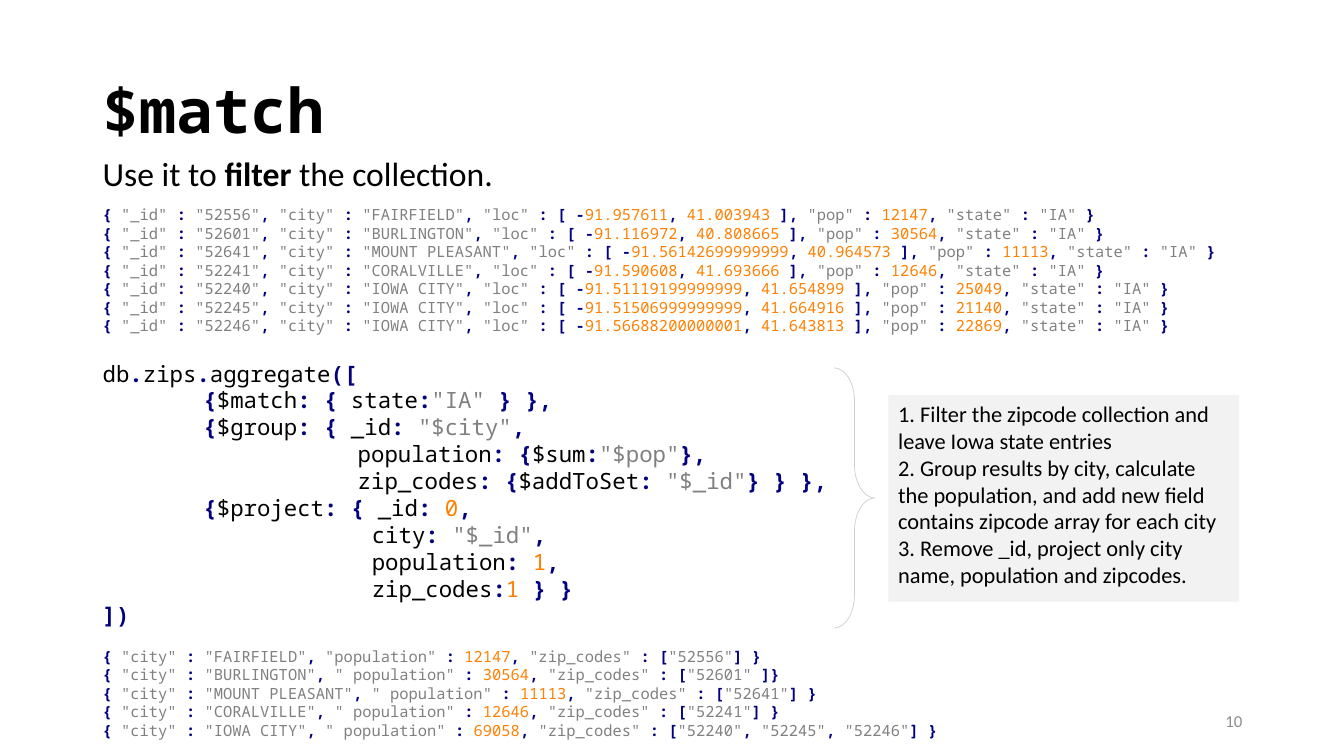
"""Build the $match aggregation slide with its input, pipeline and output."""
from itertools import groupby

from pptx import Presentation
from pptx.dml.color import RGBColor
from pptx.enum.shapes import MSO_SHAPE as Shape
from pptx.enum.text import MSO_ANCHOR as Anchor, PP_ALIGN as Align
from pptx.util import Inches, Pt

BLACK = RGBColor(0x00, 0x00, 0x00)
NAVY = RGBColor(0x00, 0x00, 0x80)
GREY = RGBColor(0x80, 0x80, 0x80)
ORANGE = RGBColor(0xFF, 0x80, 0x00)
PANEL = RGBColor(0xF2, 0xF2, 0xF2)
BRACE = RGBColor(0xD0, 0xCE, 0xCE)
PAGE_GREY = RGBColor(0x8C, 0x8C, 0x8C)
SANS, MONO = "Calibri", "Noto Sans Mono"

WIDTH, HEIGHT = 13.33, 7.5
LEFT, SPAN = 0.92, 11.5

TITLE = "$match"
LEAD = [("Use it to ", False), ("filter", True), (" the collection.", False)]
ZIPS = [
    ("52556", "FAIRFIELD", "91.957611", "41.003943", 12147),
    ("52601", "BURLINGTON", "91.116972", "40.808665", 30564),
    ("52641", "MOUNT PLEASANT", "91.56142699999999", "40.964573", 11113),
    ("52241", "CORALVILLE", "91.590608", "41.693666", 12646),
    ("52240", "IOWA CITY", "91.51119199999999", "41.654899", 25049),
    ("52245", "IOWA CITY", "91.51506999999999", "41.664916", 21140),
    ("52246", "IOWA CITY", "91.56688200000001", "41.643813", 22869),
]
STAGE, GROUP_FIELD, PROJECT_FIELD = 1, 2.53, 2.67
PIPELINE = [
    (0, 'db.zips.aggregate(['),
    (STAGE, '{$match: { state:"IA" } },'),
    (STAGE, '{$group: { _id: "$city",'),
    (GROUP_FIELD, 'population: {$sum:"$pop"},'),
    (GROUP_FIELD, 'zip_codes: {$addToSet: "$_id"} } },'),
    (STAGE, '{$project: { _id: 0,'),
    (PROJECT_FIELD, 'city: "$_id",'),
    (PROJECT_FIELD, 'population: 1,'),
    (PROJECT_FIELD, 'zip_codes:1 } }'),
    (0, '])'),
]
STEPS = [
    "1. Filter the zipcode collection and leave Iowa state entries",
    "2. Group results by city, calculate the population, and add new field "
    "contains zipcode array for each city",
    "3. Remove _id, project only city name, population and zipcodes.",
]
RESULTS = [
    '{ "city" : "FAIRFIELD", "population" : 12147, "zip_codes" : ["52556"] }',
    '{ "city" : "BURLINGTON", " population" : 30564, "zip_codes" : ["52601" ]}',
    '{ "city" : "MOUNT PLEASANT", " population" : 11113, "zip_codes" : ["52641"] }',
    '{ "city" : "CORALVILLE", " population" : 12646, "zip_codes" : ["52241"] }',
    '{ "city" : "IOWA CITY", " population" : 69058, "zip_codes" : '
    '["52240", "52245", "52246"] }',
]
PAGE_NUMBER = "10"


def add_span(para, text, size=16, font=SANS, color=BLACK, bold=False):
    span = para.add_run()
    span.text = text
    span.font.size, span.font.name, span.font.bold = Pt(size), font, bold
    span.font.color.rgb = color


def place(shape, left, top, width, height):
    shape.left, shape.top = Inches(left), Inches(top)
    shape.width, shape.height = Inches(width), Inches(height)


def add_box(page, left, top, width, height):
    box = page.shapes.add_textbox(*map(Inches, (left, top, width, height)))
    box.text_frame.word_wrap = True
    return box.text_frame


def paragraphs(frame, items):
    for index, item in enumerate(items):
        yield (frame.add_paragraph() if index else frame.paragraphs[0]), item


def syntax_colors(code):
    color, quoted = BLACK, False
    for char in code:
        if char == '"':
            quoted, color = not quoted, GREY
        elif quoted:
            color = GREY
        elif char.isdigit():
            color = ORANGE
        elif char in "{}[]():,-" or char == "." and color != ORANGE:
            color = NAVY
        elif char not in " .":
            color = BLACK
        yield color, char


def add_code(page, top, height, lines, size):
    frame = add_box(page, LEFT, top, SPAN, height)
    for para, (indent, code) in paragraphs(frame, lines):
        properties = para._p.get_or_add_pPr()
        properties.set("marL", str(Inches(indent)))
        properties.set("indent", "0")
        for color, pairs in groupby(syntax_colors(code), key=lambda pair: pair[0]):
            text = "".join(char for _, char in pairs)
            add_span(para, text, size=size, font=MONO, color=color, bold=color == NAVY)


def add_shape(page, kind, left, top, width, height):
    shape = page.shapes.add_shape(kind, *map(Inches, (left, top, width, height)))
    shape.shadow.inherit = False
    return shape


def main():
    deck = Presentation()
    deck.slide_width, deck.slide_height = Inches(WIDTH), Inches(HEIGHT)
    page = deck.slides.add_slide(deck.slide_layouts[5])

    title = page.shapes.title
    place(title, LEFT, 0.4, SPAN, 1.45)
    title.text_frame.vertical_anchor = Anchor.MIDDLE
    para = title.text_frame.paragraphs[0]
    para.alignment, para.line_spacing = Align.LEFT, 0.9
    add_span(para, TITLE, size=44, font=MONO, bold=True)

    para = add_box(page, LEFT, 1.55, SPAN, 0.44).paragraphs[0]
    para.line_spacing, para.space_before = 0.8, Pt(10)
    for text, bold in LEAD:
        add_span(para, text, size=24, bold=bold)

    documents = [
        f'{{ "_id" : "{code}", "city" : "{city}", "loc" : [ -{west}, {north} ], '
        f'"pop" : {people}, "state" : "IA" }}'
        for code, city, west, north, people in ZIPS
    ]
    add_code(page, 1.99, 1.4, [(0, line) for line in documents], 11)
    add_code(page, 3.52, 2.86, PIPELINE, 16)
    add_code(page, 6.37, 1.03, [(0, line) for line in RESULTS], 11)

    panel = add_shape(page, Shape.RECTANGLE, 8.81, 3.92, 3.48, 2.05)
    panel.fill.solid()
    panel.fill.fore_color.rgb = PANEL
    panel.line.fill.background()
    panel.text_frame.word_wrap = True
    panel.text_frame.vertical_anchor = Anchor.TOP
    for para, step in paragraphs(panel.text_frame, STEPS):
        para.alignment = Align.LEFT
        add_span(para, step)

    brace = add_shape(page, Shape.RIGHT_BRACE, 8.27, 3.65, 0.41, 2.58)
    brace.adjustments[0], brace.adjustments[1] = 0.8, 0.5
    brace.fill.background()
    brace.line.color.rgb, brace.line.width = BRACE, Pt(0.5)

    footer = add_box(page, 9.42, 6.95, 3, 0.4)
    footer.vertical_anchor = Anchor.MIDDLE
    footer.paragraphs[0].alignment = Align.RIGHT
    add_span(footer.paragraphs[0], PAGE_NUMBER, size=12, color=PAGE_GREY)

    deck.save("out.pptx")


if __name__ == "__main__":
    main()
